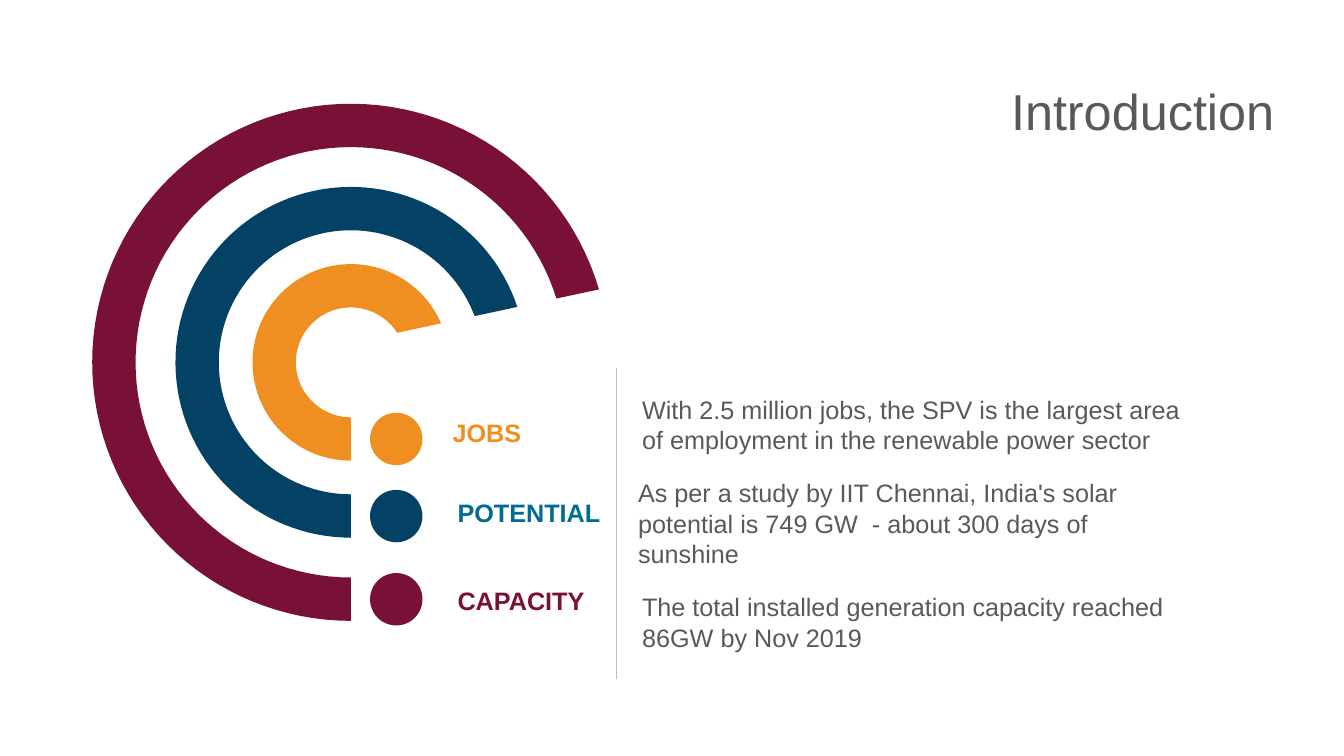
import math
from dataclasses import dataclass

import lxml.etree
import pptx
import pptx.dml.color
import pptx.enum.shapes
import pptx.enum.text
import pptx.oxml.ns
import pptx.shapes.base
import pptx.slide
import pptx.text.text
import pptx.util

Inches = pptx.util.Inches

CENTER_X, CENTER_Y = 3.48, 3.595
BAND = 0.43
DOT_X, DOT_SIZE = 3.93, 0.52
CUT_SLOPE = math.atan(0.215)  # tilt of the line that ends all three arcs
CUT_OFFSET = 0.19  # distance of that line from the common center
ARC_STEPS = 90
DIVIDER_X, DIVIDER_HEIGHT = 6.11, 1.13
GREY = "595959"
BODY_FORMAT = {"name": "Arial", "size": pptx.util.Pt(18), "bold": False}
LABEL_FORMAT = BODY_FORMAT | {"bold": True}
TITLE_FORMAT = BODY_FORMAT | {"size": pptx.util.Pt(36)}


@dataclass
class Box:
    left: float
    top: float
    width: float
    height: float

    def lengths(self) -> list[pptx.util.Length]:
        return [Inches(value) for value in (self.left, self.top, self.width, self.height)]


@dataclass
class Topic:
    label: str
    text: str
    radius: float
    color: str
    label_color: str
    label_box: Box
    text_box: Box
    divider_top: float


TOPICS = [
    Topic("CAPACITY", "The total installed generation capacity reached 86GW by Nov 2019",
          2.565, "791038", "791038",
          Box(4.44, 5.76, 1.63, 0.4), Box(6.27, 5.82, 5.62, 0.71), 5.61),
    Topic("POTENTIAL", "As per a study by IIT Chennai, India's solar potential is 749 GW  "
          "- about 300 days of sunshine",
          1.74, "034265", "006C93",
          Box(4.44, 4.88, 1.63, 0.4), Box(6.23, 4.69, 5.62, 1.01), 4.62),
    Topic("JOBS", "With 2.5 million jobs, the SPV is the largest area of employment "
          "in the renewable power sector",
          0.975, "EF8F21", "EF8F21",
          Box(4.39, 4.09, 1.63, 0.4), Box(6.27, 3.86, 5.62, 0.71), 3.65),
]


def rgb(color: str) -> pptx.dml.color.RGBColor:
    return pptx.dml.color.RGBColor.from_string(color)


def fill_plain(shape: pptx.shapes.base.BaseShape, color: str) -> None:
    shape.shadow.inherit = False
    shape.fill.solid()
    shape.fill.fore_color.rgb = rgb(color)
    shape.line.fill.background()


def write_text(frame: pptx.text.text.TextFrame, text: str, color: str, font_format: dict) -> None:
    frame.word_wrap = True
    frame.vertical_anchor = pptx.enum.text.MSO_ANCHOR.TOP
    paragraph = frame.paragraphs[0]
    run = paragraph.add_run()
    run.text = text
    run.font.color.rgb = rgb(color)
    for name, value in font_format.items():
        setattr(run.font, name, value)


def add_text(slide: pptx.slide.Slide, box: Box, text: str, color: str, font_format: dict) -> None:
    shape = slide.shapes.add_textbox(*box.lengths())
    write_text(shape.text_frame, text, color, font_format)


def arc_points(radius: float) -> list[tuple[int, int]]:
    """Points from the bottom of the circle, over its left side, to the slanted cut."""
    start = 1.5 * math.pi
    end = CUT_SLOPE + math.asin(CUT_OFFSET / radius)
    angles = [start + (end - start) * step / ARC_STEPS for step in range(ARC_STEPS + 1)]
    return [(Inches(CENTER_X + radius * math.cos(angle)),
             Inches(CENTER_Y - radius * math.sin(angle))) for angle in angles]


def add_arc(slide: pptx.slide.Slide, topic: Topic) -> None:
    outline = arc_points(topic.radius) + arc_points(topic.radius - BAND)[::-1]
    builder = slide.shapes.build_freeform(*outline[0])
    builder.add_line_segments(outline[1:], close=True)
    fill_plain(builder.convert_to_shape(), topic.color)


def add_dot(slide: pptx.slide.Slide, topic: Topic) -> None:
    middle = CENTER_Y + topic.radius - BAND / 2
    box = Box(DOT_X - DOT_SIZE / 2, middle - DOT_SIZE / 2, DOT_SIZE, DOT_SIZE)
    dot = slide.shapes.add_shape(pptx.enum.shapes.MSO_SHAPE.OVAL, *box.lengths())
    fill_plain(dot, topic.color)


def add_divider(slide: pptx.slide.Slide, top: float) -> None:
    divider = slide.shapes.add_connector(
        pptx.enum.shapes.MSO_CONNECTOR.STRAIGHT, Inches(DIVIDER_X), Inches(top),
        Inches(DIVIDER_X), Inches(top + DIVIDER_HEIGHT))
    divider.line.color.rgb = rgb("BFBFBF")
    divider.line.width = pptx.util.Pt(0.75)
    properties = divider._element.spPr
    lxml.etree.SubElement(properties, pptx.oxml.ns.qn("a:effectLst"))


def add_title(slide: pptx.slide.Slide, text: str) -> None:
    title = slide.shapes.title
    title.left, title.top, title.width, title.height = Box(5.82, 0.74, 6.92, 0.71).lengths()
    write_text(title.text_frame, text, GREY, TITLE_FORMAT)
    title.text_frame.paragraphs[0].alignment = pptx.enum.text.PP_ALIGN.RIGHT


def main() -> None:
    presentation = pptx.Presentation()
    presentation.slide_width = Inches(13.33)
    presentation.slide_height = Inches(7.5)
    slide = presentation.slides.add_slide(presentation.slide_layouts.get_by_name("Title Only"))
    add_title(slide, "Introduction")
    for topic in TOPICS:
        add_arc(slide, topic)
        add_dot(slide, topic)
    for topic in reversed(TOPICS):
        add_text(slide, topic.label_box, topic.label, topic.label_color, LABEL_FORMAT)
        add_text(slide, topic.text_box, topic.text, GREY, BODY_FORMAT)
        add_divider(slide, topic.divider_top)
    presentation.save("out.pptx")


if __name__ == "__main__":
    main()
